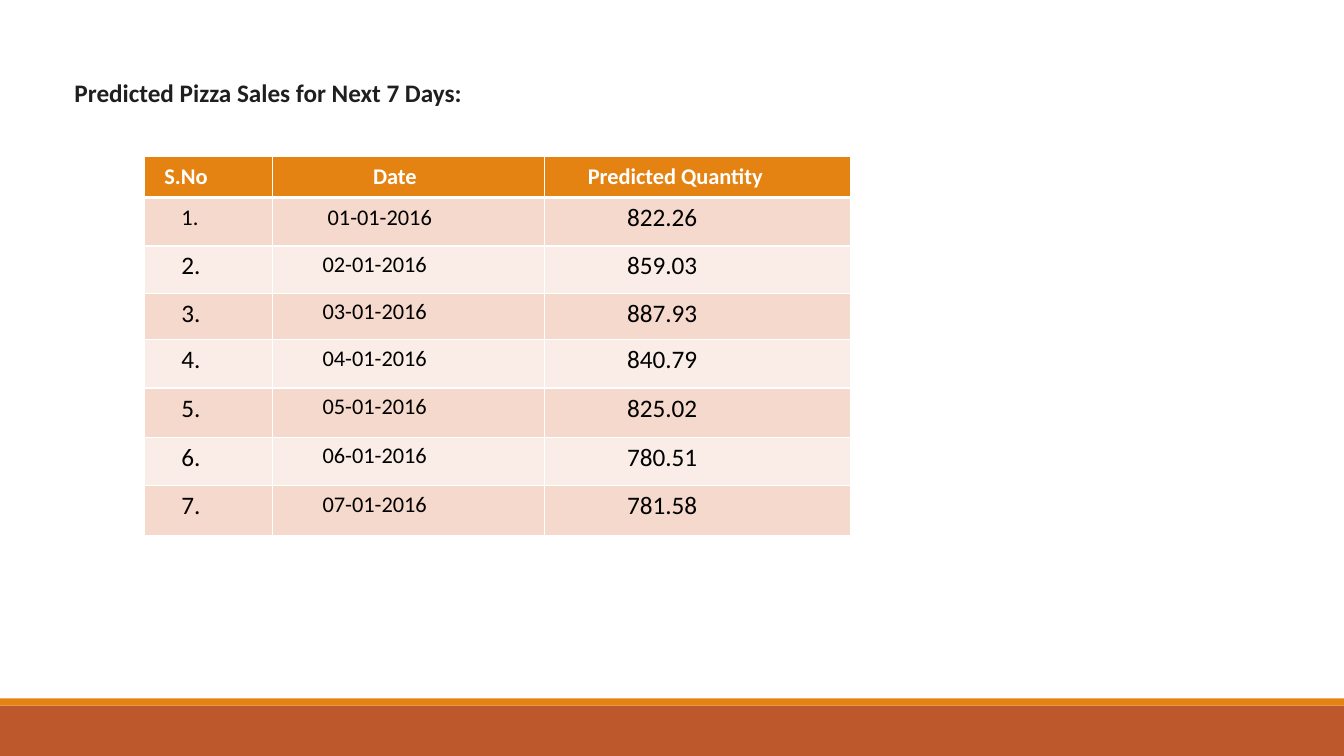
import pptx
import pptx.dml.color
import pptx.enum.shapes
import pptx.oxml
import pptx.oxml.ns
import pptx.util
from pptx.util import Inches

TITLE = "Predicted Pizza Sales for Next 7 Days:"
HEADERS = ["S.No", "Date", "Predicted Quantity"]
FORECAST = [
    ("1.", "01-01-2016", "822.26"),
    ("2.", "02-01-2016", "859.03"),
    ("3.", "03-01-2016", "887.93"),
    ("4.", "04-01-2016", "840.79"),
    ("5.", "05-01-2016", "825.02"),
    ("6.", "06-01-2016", "780.51"),
    ("7.", "07-01-2016", "781.58"),
]
COLUMN_WIDTHS = [1.27, 2.7, 3.04]
ROW_HEIGHTS = [0.41, 0.48, 0.47, 0.46, 0.48, 0.49, 0.48, 0.49]
HEADER_INDENTS = [0.2, 1.0, 0.43]
BODY_INDENTS = [0.37, 0.5, 0.82]
FIRST_DATE_INDENT = 0.55
FOOTER_BARS = [(7, 0.5, "footer"), (6.93, 0.07, "accent")]

THEME = {
    "font": "Calibri",
    "title": "1F1F1F",
    "footer": "BD582C",
    "accent": "E48312",
    "bands": ["F5D9CC", "FAEDE7"],
    "header_text": "FFFFFF",
    "body_text": "000000",
    "border": "FFFFFF",
    "large": 18,
    "small": 16,
}


def color(value):
    return pptx.dml.color.RGBColor.from_string(value)


def style(paragraph, size, text_color, bold):
    paragraph.font.name = THEME["font"]
    paragraph.font.size = pptx.util.Pt(size)
    paragraph.font.bold = bold
    paragraph.font.color.rgb = color(text_color)


def set_borders(cell, widths):
    properties = cell._tc.get_or_add_tcPr()
    for position, (side, width) in enumerate(widths.items()):
        border = pptx.oxml.parse_xml(
            f'<a:ln{side} {pptx.oxml.ns.nsdecls("a")} w="{pptx.util.Pt(width)}">'
            f'<a:solidFill><a:srgbClr val="{THEME["border"]}"/></a:solidFill>'
            f'</a:ln{side}>'
        )
        properties.insert(position, border)


def add_footer(slide, width):
    for top, height, name in FOOTER_BARS:
        bar = slide.shapes.add_shape(
            pptx.enum.shapes.MSO_SHAPE.RECTANGLE, 0, Inches(top), width, Inches(height)
        )
        bar.shadow.inherit = False
        bar.fill.solid()
        bar.fill.fore_color.rgb = color(THEME[name])
        bar.line.fill.background()


def add_title(slide):
    box = slide.shapes.add_textbox(Inches(0.64), Inches(0.72), Inches(11.36), Inches(1.31))
    box.text_frame.word_wrap = True
    paragraph = box.text_frame.paragraphs[0]
    paragraph.text = TITLE
    style(paragraph, THEME["large"], THEME["title"], True)


def fill_cell(cell, text, row, column):
    is_header = row == 0
    is_small = is_header or column == 1 or (row == 1 and column == 0)
    indent = (HEADER_INDENTS if is_header else BODY_INDENTS)[column]
    if (row, column) == (1, 1):
        indent = FIRST_DATE_INDENT
    cell.text = text
    cell.margin_left = Inches(indent)
    cell.margin_top = Inches(0.07 if row <= 1 and is_small else 0.05)
    cell.fill.solid()
    cell.fill.fore_color.rgb = color(THEME["accent"] if is_header else THEME["bands"][(row - 1) % 2])
    style(
        cell.text_frame.paragraphs[0],
        THEME["small"] if is_small else THEME["large"],
        THEME["header_text"] if is_header else THEME["body_text"],
        is_header,
    )
    set_borders(cell, {"L": 1, "R": 1, "T": 3 if row == 1 else 1, "B": 3 if is_header else 1})


def add_forecast_table(slide):
    rows = [HEADERS, *FORECAST]
    table = slide.shapes.add_table(
        len(rows), len(HEADERS), Inches(1.43), Inches(1.55),
        Inches(sum(COLUMN_WIDTHS)), Inches(sum(ROW_HEIGHTS)),
    ).table
    for column, width in zip(table.columns, COLUMN_WIDTHS):
        column.width = Inches(width)
    for row, height in zip(table.rows, ROW_HEIGHTS):
        row.height = Inches(height)
    for row, values in enumerate(rows):
        for column, text in enumerate(values):
            fill_cell(table.cell(row, column), text, row, column)


def main():
    presentation = pptx.Presentation()
    presentation.slide_width = Inches(13.33)
    presentation.slide_height = Inches(7.5)
    slide = presentation.slides.add_slide(presentation.slide_layouts[6])
    add_footer(slide, presentation.slide_width)
    add_title(slide)
    add_forecast_table(slide)
    presentation.save("out.pptx")


if __name__ == "__main__":
    main()
